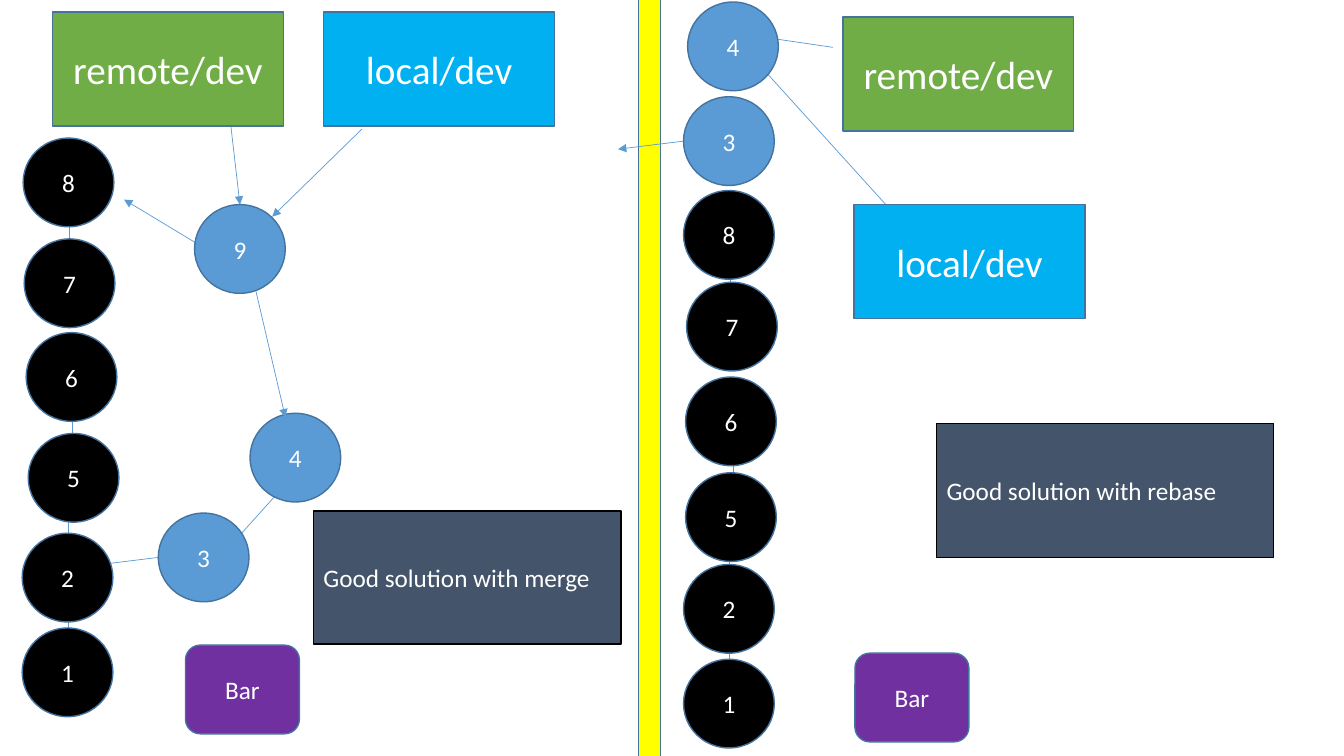
from pptx import Presentation, util as u
from pptx.dml.color import RGBColor
from pptx.enum import shapes, text
from pptx.oxml import parse_xml
from pptx.oxml.ns import nsdecls, qn

SLIDE_SIZE = (13.33, 7.5)
EDGE, LINK = "43739E", "5B9BD5"
SHAPE, ALIGN = shapes.MSO_SHAPE, text.PP_ALIGN

# kind: preset, size, fill, edge, font size, alignment
KINDS = {
    "divider": (SHAPE.RECTANGLE, (0.22, 8.58), "FFFF00", EDGE, 18, ALIGN.CENTER),
    "remote": (SHAPE.RECTANGLE, (2.29, 1.13), "70AD47", EDGE, 28, ALIGN.CENTER),
    "local": (SHAPE.RECTANGLE, (2.29, 1.13), "00B0F0", EDGE, 28, ALIGN.CENTER),
    "base": (SHAPE.OVAL, (0.9, 0.88), "000000", EDGE, 18, ALIGN.CENTER),
    "feature": (SHAPE.OVAL, (0.9, 0.88), LINK, EDGE, 18, ALIGN.CENTER),
    "bar": (SHAPE.ROUNDED_RECTANGLE, (1.13, 0.88), "7030A0", EDGE, 18, ALIGN.CENTER),
    "merge note": (SHAPE.RECTANGLE, (3.05, 1.32), "44546A", "000000", 18, ALIGN.LEFT),
    "rebase note": (SHAPE.RECTANGLE, (3.34, 1.33), "44546A", "000000", 18, ALIGN.LEFT),
}

# Links between commits of the base branch: x, top. The rebase side is shifted.
STEM_LENGTH = 0.67
STEMS = [(0.68, 5.12), (0.72, 4.07), (0.68, 5.73), (0.69, 2.13)]
SIDE_SHIFTS = [(0, 0), (6.55, 0.32)]

BRANCH_LINKS = [
    (2.01, 2.45, 1.23, 1.98),  # 9 to 8
    (1.57, 5.53, 0.92, 5.61),  # 3 to 2
    (2.81, 4.83, 2.28, 5.42),  # 4 to 3
    (3.59, 1.28, 2.70, 2.15),  # local/dev to 9
    (2.29, 1.25, 2.38, 2.03),  # remote/dev to 9
    (8.84, 2.09, 7.41, 0.51),  # local/dev to 4
    (8.26, 0.47, 7.51, 0.36),  # remote/dev to 4
    (6.78, 1.40, 6.13, 1.48),  # 3 to the left
]
MERGE_LINK = (2.49, 2.68, 2.83, 4.14)  # 9 to 4, in front of 4

DIVIDER = [("divider", "", 6.33, -0.21)]
MERGED_COMMITS = [("feature", "3", 1.57, 5.09), ("feature", "4", 2.48, 4.1)]
MERGE_SIDE = [
    ("remote", "remote/dev", 0.52, 0.12),
    ("local", "local/dev", 3.21, 0.12),
    ("bar", "Bar", 1.84, 6.4),
    ("base", "1", 0.22, 6.23),
    ("base", "2", 0.22, 5.29),
    ("base", "5", 0.28, 4.3),
    ("base", "6", 0.26, 3.3),
    ("base", "7", 0.24, 2.37),
    ("base", "8", 0.23, 1.37),
    ("feature", "9", 1.93, 2.03),
    ("merge note", "Good solution with merge", 3.11, 5.07),
]
REBASE_SIDE = [
    ("remote", "remote/dev", 8.36, 0.17),
    ("local", "local/dev", 8.47, 2.03),
    ("bar", "Bar", 8.48, 6.48),
    ("base", "1", 6.78, 6.54),
    ("base", "2", 6.78, 5.6),
    ("base", "5", 6.8, 4.69),
    ("base", "6", 6.8, 3.74),
    ("base", "7", 6.81, 2.8),
    ("base", "8", 6.78, 1.89),
    ("feature", "3", 6.78, 0.96),
    ("feature", "4", 6.82, 0.02),
    ("rebase note", "Good solution with rebase", 9.29, 4.2),
]


def color(value):
    """Turn a hex string into a colour."""
    return RGBColor.from_string(value)


def set_all(target, values):
    """Set every attribute in a dict of format values."""
    for name, value in values.items():
        setattr(target, name, value)


def set_line(line, value, width):
    """Give a line its colour and width in points."""
    line.color.rgb = color(value)
    line.width = u.Pt(width)


def add_node(slide, kind, label, left, top):
    """Add one labelled shape of the given kind."""
    preset, size, fill, edge, font_size, alignment = KINDS[kind]
    shape = slide.shapes.add_shape(preset, *map(u.Inches, (left, top, *size)))
    shape.shadow.inherit = False
    shape.fill.solid()
    shape.fill.fore_color.rgb = color(fill)
    set_line(shape.line, edge, 1)
    if label:
        set_all(shape.text_frame, {"text": label, "word_wrap": True,
                                   "vertical_anchor": text.MSO_ANCHOR.MIDDLE})
        paragraph = shape.text_frame.paragraphs[0]
        paragraph.alignment = alignment
        font = paragraph.runs[0].font
        set_all(font, {"name": "Calibri", "size": u.Pt(font_size)})
        font.color.rgb = color("FFFFFF")


def add_arrow(slide, *ends):
    """Add a thin arrow from the first point to the second."""
    arrow = slide.shapes.add_connector(shapes.MSO_CONNECTOR.STRAIGHT, *map(u.Inches, ends))
    set_line(arrow.line, LINK, 0.5)
    properties = arrow._element.spPr
    properties.find(qn("a:ln")).append(parse_xml(f'<a:tailEnd {nsdecls("a")} type="triangle"/>'))
    properties.append(parse_xml(f'<a:effectLst {nsdecls("a")}/>'))


def main():
    """Build the slide from back to front and save it."""
    presentation = Presentation()
    width, height = map(u.Inches, SLIDE_SIZE)
    set_all(presentation, {"slide_width": width, "slide_height": height})
    slide = presentation.slides.add_slide(presentation.slide_layouts[6])

    stems = [(x + dx, y + dy, x + dx, y + dy + STEM_LENGTH)
             for dx, dy in SIDE_SHIFTS for x, y in STEMS]
    layers = [(DIVIDER, BRANCH_LINKS + stems),
              (MERGED_COMMITS, [MERGE_LINK]),
              (MERGE_SIDE + REBASE_SIDE, [])]
    for nodes, links in layers:
        for node in nodes:
            add_node(slide, *node)
        for link in links:
            add_arrow(slide, *link)
    presentation.save("out.pptx")


main()
